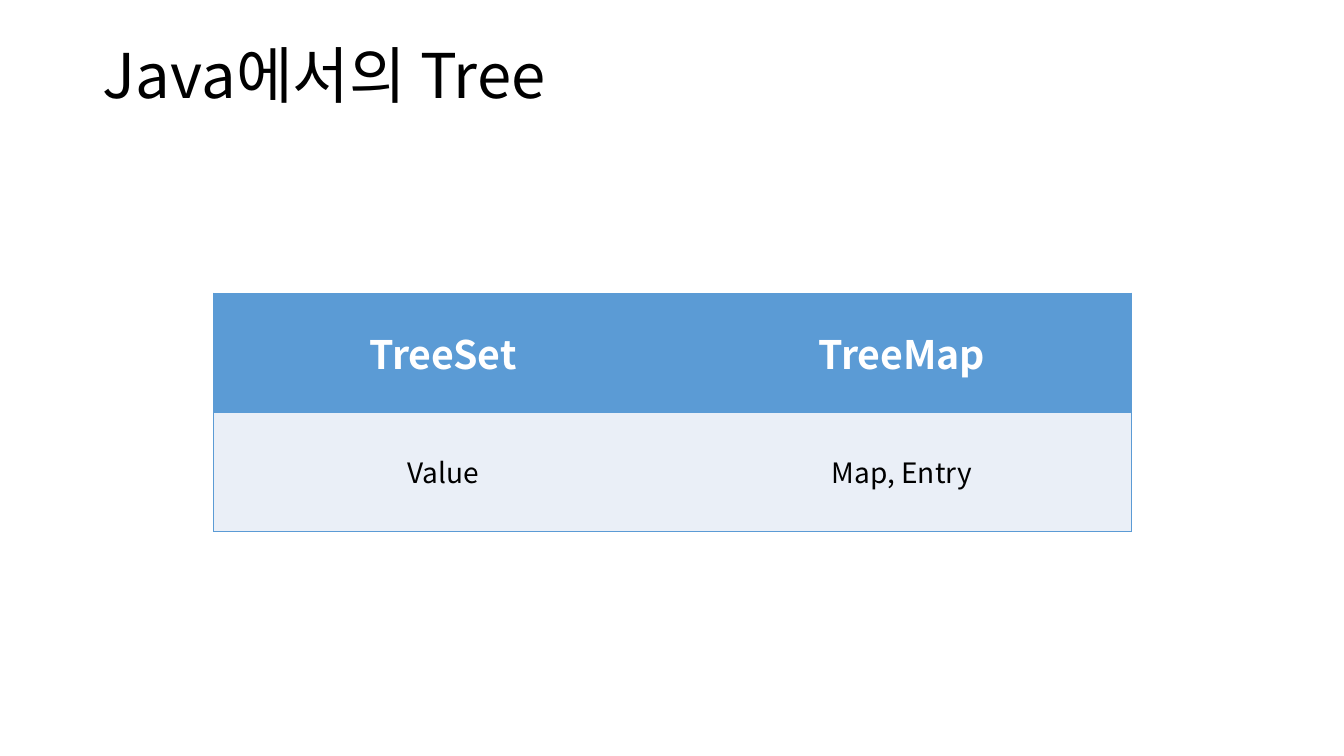
from dataclasses import dataclass

from lxml import etree
from pptx import Presentation
from pptx import util as u
from pptx.dml.color import RGBColor
from pptx.enum import text
from pptx.oxml import ns

PX = 9144
FONT = "Noto Sans CJK KR"
BLACK = RGBColor(0x00, 0x00, 0x00)
WHITE = RGBColor(0xFF, 0xFF, 0xFF)
BLUE = RGBColor(0x5B, 0x9B, 0xD5)
PALE = RGBColor(0xEA, 0xEF, 0xF7)
NO_STYLE = "{2D5ABB26-0587-4C30-8999-92F81FD0307C}"


@dataclass(frozen=True)
class Row:
    labels: tuple[str, ...]
    size: int
    bold: bool
    color: RGBColor
    fill: RGBColor


ROWS = (
    Row(("TreeSet", "TreeMap"), 28, True, WHITE, BLUE),
    Row(("Value", "Map, Entry"), 20, False, BLACK, PALE),
)


def px(n: int) -> u.Emu:
    return u.Emu(n * PX)


def write(tf, content: str, *, size: int, color: RGBColor, align,
          bold: bool = False, spacing: float = 1.0) -> None:
    p = tf.paragraphs[0]
    p.alignment = align
    p.line_spacing = spacing
    r = p.add_run()
    r.text = content
    r.font.name = FONT
    r.font.size = u.Pt(size)
    r.font.bold = bold
    r.font.color.rgb = color
    ea = etree.SubElement(r.font._element, ns.qn("a:ea"))
    ea.set("typeface", FONT)


def add_borders(cell, sides: str, color: RGBColor) -> None:
    tcPr = cell._tc.get_or_add_tcPr()
    for i, side in enumerate(sides):
        ln = etree.Element(ns.qn(f"a:ln{side}"), w=str(u.Pt(1)))
        fill = etree.SubElement(ln, ns.qn("a:solidFill"))
        etree.SubElement(fill, ns.qn("a:srgbClr"), val=str(color))
        tcPr.insert(i, ln)


def add_title(s, content: str) -> None:
    sp = s.shapes.title
    sp.left, sp.top, sp.width, sp.height = map(px, (92, 5, 1150, 145))
    tf = sp.text_frame
    tf.word_wrap = True
    tf.auto_size = text.MSO_AUTO_SIZE.NONE
    tf.vertical_anchor = text.MSO_ANCHOR.MIDDLE
    write(tf, content, size=44, color=BLACK, align=text.PP_ALIGN.LEFT, spacing=0.9)


def add_tree_table(s, rows: tuple[Row, ...]) -> None:
    cols = len(rows[0].labels)
    frame = s.shapes.add_table(len(rows), cols, px(212), px(291),
                               px(455 * cols), px(118 * len(rows)))
    for style in frame._element.iter(ns.qn("a:tableStyleId")):
        style.text = NO_STYLE
    tb = frame.table
    tb.horz_banding = False
    for i, row in enumerate(rows):
        for j, label in enumerate(row.labels):
            cell = tb.cell(i, j)
            cell.vertical_anchor = text.MSO_ANCHOR.MIDDLE
            cell.fill.solid()
            cell.fill.fore_color.rgb = row.fill
            sides = ("L" if j == 0 else "") + ("R" if j == cols - 1 else "") + "TB"
            add_borders(cell, sides, BLUE)
            write(cell.text_frame, label, size=row.size, color=row.color,
                  align=text.PP_ALIGN.CENTER, bold=row.bold)


def main() -> None:
    prs = Presentation()
    prs.slide_width, prs.slide_height = px(1333), px(750)
    s = prs.slides.add_slide(prs.slide_layouts[5])
    add_title(s, "Java에서의 Tree")
    add_tree_table(s, ROWS)
    prs.save("out.pptx")


if __name__ == "__main__":
    main()
